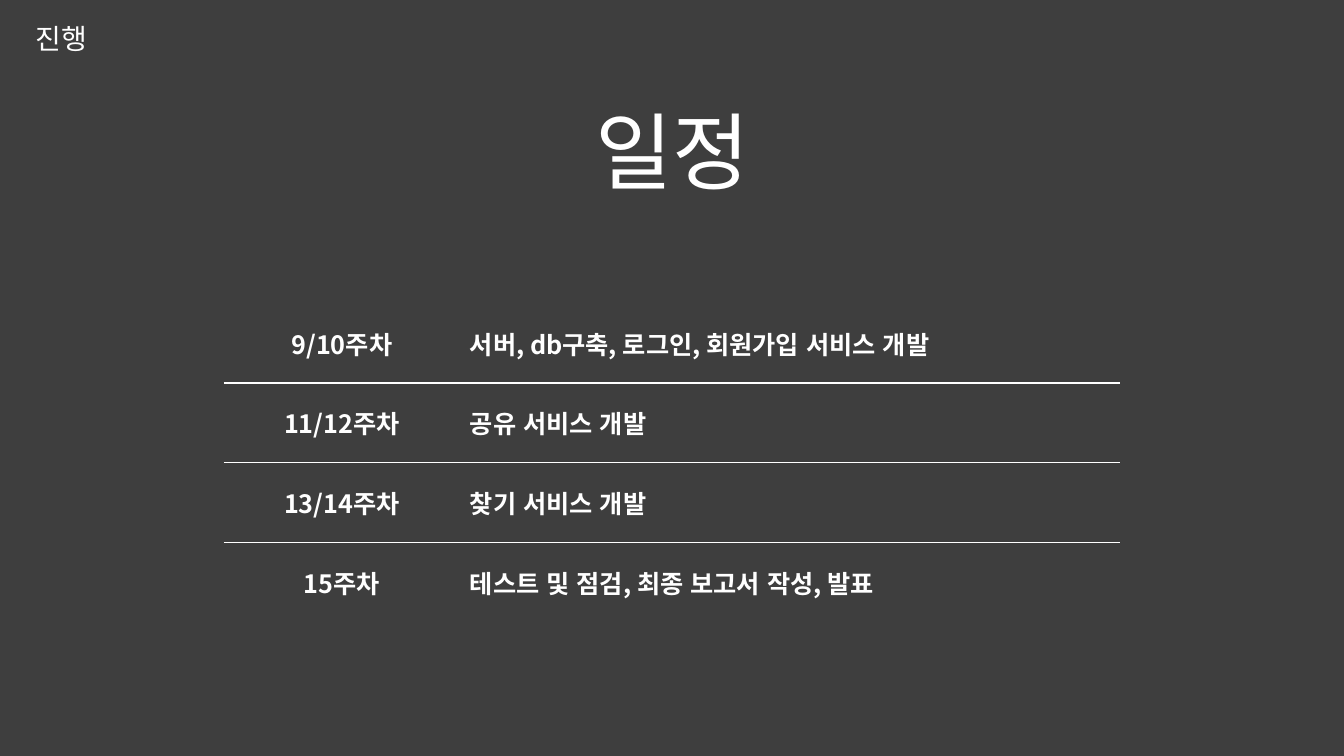
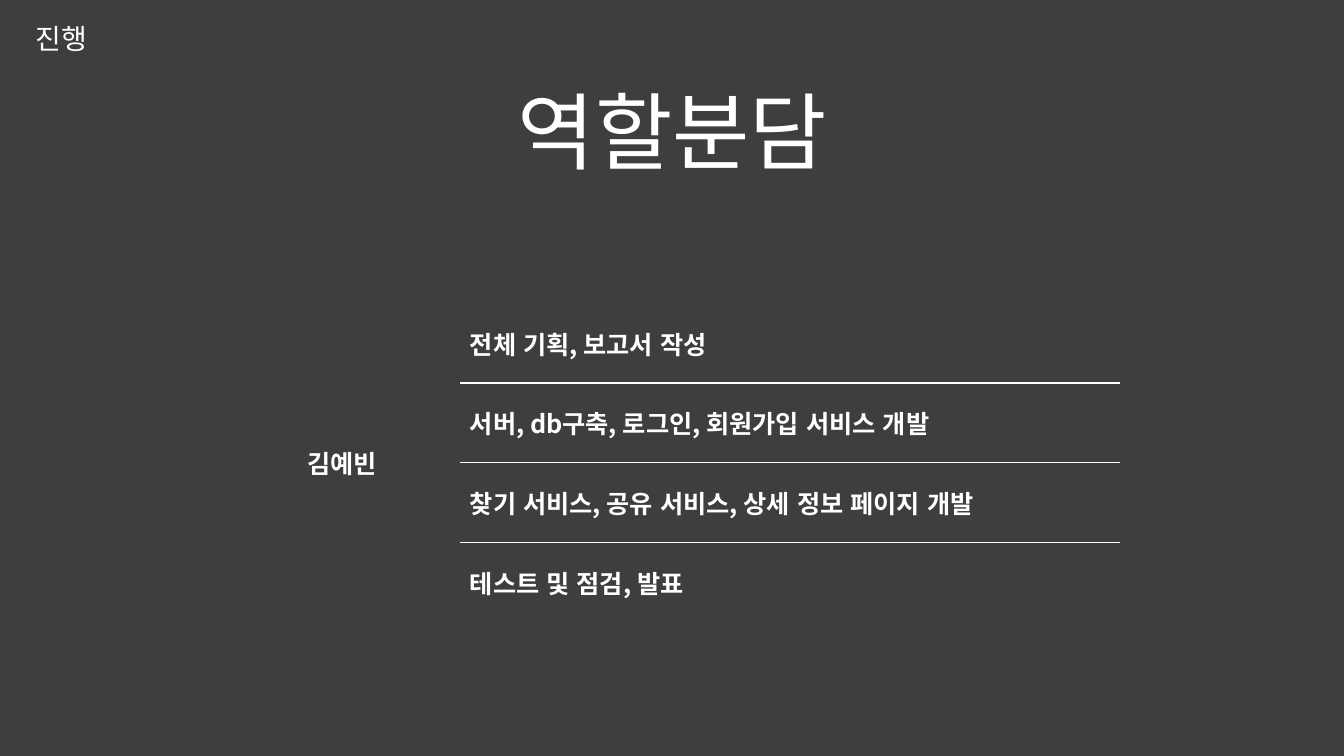
from lxml.etree import SubElement
from pptx import Presentation
from pptx.dml.color import RGBColor
from pptx.enum.lang import MSO_LANGUAGE_ID as Language
from pptx.enum.text import MSO_ANCHOR as Anchor, MSO_AUTO_SIZE as AutoSize, PP_ALIGN as Align
from pptx.oxml import parse_xml
from pptx.oxml.ns import nsdecls, qn
from pptx.util import Inches, Pt

FONT = "Noto Sans CJK KR"
BACKGROUND = "3E3E3E"
FOREGROUND = "FFFFFF"
SECTION = "진행"
SECTION_BOX = (-0.51, 0.12, 2.24, 0.56)
TABLE_BOX = (2.22, 3.01, 8.89, 3.16)
LABEL_WIDTH = 2.34
TITLE_SIZE = (11.5, 1.45)
TITLE_LEFT = 0.92

SLIDES = [
    ("일정", 0.6, [
        ("9/10주차", "서버, db구축, 로그인, 회원가입 서비스 개발"),
        ("11/12주차", "공유 서비스 개발"),
        ("13/14주차", "찾기 서비스 개발"),
        ("15주차", "테스트 및 점검, 최종 보고서 작성, 발표"),
    ]),
    ("역할분담", 0.4, [
        ("김예빈", "전체 기획, 보고서 작성"),
        (None, "서버, db구축, 로그인, 회원가입 서비스 개발"),
        (None, "찾기 서비스, 공유 서비스, 상세 정보 페이지 개발"),
        (None, "테스트 및 점검, 발표"),
    ]),
]


def color(value):
    """Turn a hex string into a colour."""
    return RGBColor.from_string(value)


def write_text(frame, text, size=18, bold=False, align=Align.CENTER, spacing=None):
    """Write one formatted paragraph into a text frame."""
    paragraph = frame.paragraphs[0]
    paragraph.alignment = align
    paragraph.line_spacing = spacing
    run = paragraph.add_run()
    run.text = text
    font = run.font
    font.size, font.bold, font.name = Pt(size), bold, FONT
    font.color.rgb = color(FOREGROUND)
    font.language_id = Language.KOREAN
    SubElement(run._r.get_or_add_rPr(), qn("a:ea"), typeface=FONT)


def add_section(slide, box):
    """Add the section name in the top left corner."""
    shape = slide.shapes.add_textbox(*map(Inches, box))
    frame = shape.text_frame
    frame.word_wrap = True
    frame.vertical_anchor = Anchor.MIDDLE
    write_text(frame, SECTION, size=20, spacing=0.9)


def add_title(slide, text, box):
    """Place and fill the title placeholder."""
    title = slide.shapes.title
    title.left, title.top, title.width, title.height = map(Inches, box)
    frame = title.text_frame
    frame.auto_size = AutoSize.NONE
    frame.vertical_anchor = Anchor.BOTTOM
    write_text(frame, text, size=60, spacing=0.9)


def set_borders(cell, visible):
    """Draw the named cell sides and hide the others."""
    properties = cell._tc.get_or_add_tcPr()
    for index, side in enumerate(("L", "R", "T", "B")):
        fill = "<a:noFill/>"
        if side in visible:
            fill = f'<a:solidFill><a:srgbClr val="{FOREGROUND}"/></a:solidFill>'
        line = f'<a:ln{side} {nsdecls("a")} w="{Pt(1)}">{fill}</a:ln{side}>'
        properties.insert(index, parse_xml(line))


def add_schedule(slide, rows, box):
    """Add a two-column table, merging a label over the unlabelled rows."""
    left, top, width, height = box
    frame = slide.shapes.add_table(len(rows), 2, *map(Inches, box))
    table = frame.table
    table.first_row = table.horz_banding = False
    table.columns[0].width = Inches(LABEL_WIDTH)
    table.columns[1].width = Inches(width - LABEL_WIDTH)
    merged = rows[-1][0] is None
    if merged:
        table.cell(0, 0).merge(table.cell(len(rows) - 1, 0))
    for row, texts in enumerate(rows):
        table.rows[row].height = Inches(height / len(rows))
        for column, text in enumerate(texts):
            cell = table.cell(row, column)
            cell.fill.background()
            cell.vertical_anchor = Anchor.MIDDLE
            sides = ("T" if row else "") + ("B" if row < len(rows) - 1 else "")
            set_borders(cell, "" if merged and column == 0 else sides)
            if text:
                align = Align.LEFT if column else Align.CENTER
                write_text(cell.text_frame, text, bold=True, align=align)


def add_table_slide(presentation, title, title_top, rows):
    """Add a slide with a section name, a title and a table."""
    slide = presentation.slides.add_slide(presentation.slide_layouts.get_by_name("Title Only"))
    add_section(slide, SECTION_BOX)
    add_title(slide, title, (TITLE_LEFT, title_top, *TITLE_SIZE))
    add_schedule(slide, rows, TABLE_BOX)


def main():
    """Build and save the presentation."""
    presentation = Presentation()
    presentation.slide_width, presentation.slide_height = Inches(13.33), Inches(7.5)
    background = presentation.slide_master.background.fill
    background.solid()
    background.fore_color.rgb = color(BACKGROUND)
    for title, title_top, rows in SLIDES:
        add_table_slide(presentation, title, title_top, rows)
    presentation.save("out.pptx")


if __name__ == "__main__":
    main()
